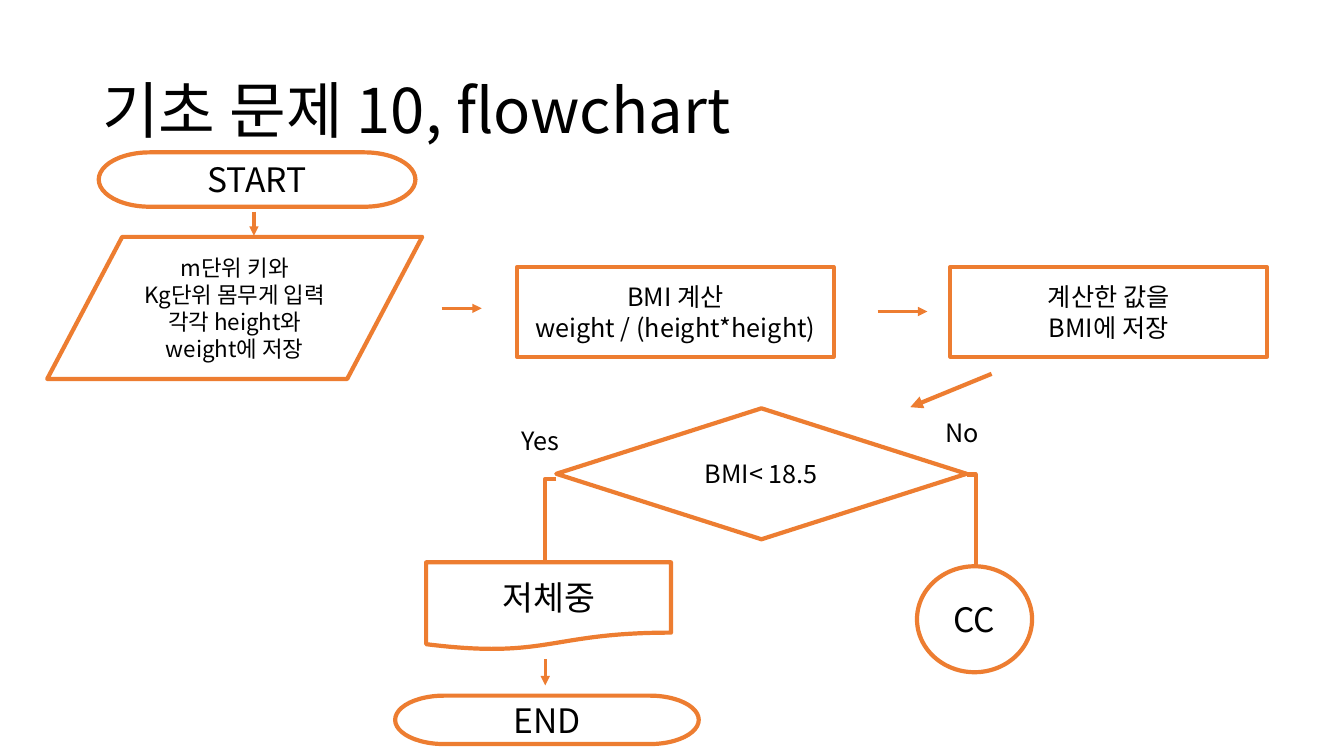
"""Build the BMI flowchart slide."""
from dataclasses import dataclass

from lxml.etree import SubElement
from pptx import Presentation
from pptx.dml.color import RGBColor
from pptx.enum.shapes import MSO_CONNECTOR, MSO_SHAPE
from pptx.enum.text import MSO_ANCHOR, MSO_AUTO_SIZE, PP_ALIGN
from pptx.oxml.ns import qn
from pptx.slide import Slide
from pptx.text.text import TextFrame
from pptx.util import Cm, Pt

FONT = "Noto Sans CJK KR"
BLACK = "000000"
WHITE = "FFFFFF"
ORANGE = "ED7D31"


@dataclass
class Step:
    kind: MSO_SHAPE
    left: float
    top: float
    width: float
    height: float
    size: int
    lines: tuple[str, ...]


@dataclass
class Label:
    left: float
    top: float
    width: float
    text: str


@dataclass
class Link:
    start: tuple[float, float]
    end: tuple[float, float]
    weight: float = 2.25
    bent: bool = False


STEPS = (
    Step(MSO_SHAPE.FLOWCHART_TERMINATOR, 2.49, 3.84, 7.98, 1.37, 24, ("START",)),
    Step(MSO_SHAPE.FLOWCHART_DATA, 1.19, 5.97, 9.45, 3.58, 16,
         ("m단위 키와", "Kg단위 몸무게 입력", "각각 height와 weight에 저장")),
    Step(MSO_SHAPE.RECTANGLE, 13.03, 6.73, 7.98, 2.26, 18,
         ("BMI 계산", "weight / (height*height)")),
    Step(MSO_SHAPE.RECTANGLE, 23.95, 6.73, 7.98, 2.26, 18,
         ("계산한 값을", "BMI에 저장")),
    Step(MSO_SHAPE.OVAL, 23.11, 14.27, 2.9, 2.67, 24, ("CC",)),
    Step(MSO_SHAPE.FLOWCHART_DECISION, 14.02, 10.29, 10.34, 3.3, 18, ("BMI< 18.5",)),
    Step(MSO_SHAPE.FLOWCHART_DOCUMENT, 10.74, 14.17, 6.17, 2.21, 24, ("저체중",)),
    Step(MSO_SHAPE.FLOWCHART_TERMINATOR, 9.96, 17.53, 7.65, 1.22, 24, ("END",)),
)
LABELS = (Label(12.9, 10.59, 1.78, "Yes"), Label(23.57, 10.39, 1.7, "No"))
LINKS = (
    Link((6.4, 5.33), (6.4, 5.94)),
    Link((11.13, 7.77), (12.14, 7.77)),
    Link((22.12, 7.85), (23.37, 7.85)),
    Link((24.99, 9.42), (22.94, 10.26), 3),
    Link((14.02, 12.07), (13.74, 14.17), 3, True),
    Link((24.36, 11.96), (24.59, 14.27), 3, True),
    Link((13.74, 16.61), (13.74, 17.27)),
)


def color(value: str) -> RGBColor:
    """Turn a hex string into a colour."""
    return RGBColor.from_string(value)


def write(frame: TextFrame, lines: tuple[str, ...], size: int,
          alignment: PP_ALIGN = PP_ALIGN.LEFT,
          anchor: MSO_ANCHOR = MSO_ANCHOR.MIDDLE) -> None:
    """Write one paragraph per line."""
    frame.word_wrap = True
    frame.vertical_anchor = anchor
    for index, line in enumerate(lines):
        paragraph = frame.add_paragraph() if index else frame.paragraphs[0]
        paragraph.alignment = alignment
        run = paragraph.add_run()
        run.text = line
        run.font.size = Pt(size)
        run.font.name = FONT
        run.font.color.rgb = color(BLACK)
        SubElement(run.font._element, qn("a:ea"), typeface=FONT)


def add_title(slide: Slide, text: str) -> None:
    """Add the slide heading."""
    box = slide.shapes.add_textbox(Cm(2.33), Cm(1.02), Cm(29.21), Cm(3.68))
    write(box.text_frame, (text,), 44)
    box.text_frame.paragraphs[0].line_spacing = 0.9


def add_step(slide: Slide, step: Step) -> None:
    """Add an outlined flowchart step."""
    shape = slide.shapes.add_shape(step.kind, Cm(step.left), Cm(step.top),
                                   Cm(step.width), Cm(step.height))
    shape.shadow.inherit = False
    shape.fill.solid()
    shape.fill.fore_color.rgb = color(WHITE)
    shape.line.color.rgb = color(ORANGE)
    shape.line.width = Pt(3)
    write(shape.text_frame, step.lines, step.size, PP_ALIGN.CENTER)


def add_label(slide: Slide, label: Label) -> None:
    """Add the answer beside a branch."""
    box = slide.shapes.add_textbox(Cm(label.left), Cm(label.top),
                                   Cm(label.width), Cm(1.02))
    box.fill.solid()
    box.fill.fore_color.rgb = color(WHITE)
    write(box.text_frame, (label.text,), 18, anchor=MSO_ANCHOR.TOP)
    box.text_frame.auto_size = MSO_AUTO_SIZE.SHAPE_TO_FIT_TEXT


def add_link(slide: Slide, link: Link) -> None:
    """Add a straight arrow or a plain one-corner branch."""
    kind = MSO_CONNECTOR.ELBOW if link.bent else MSO_CONNECTOR.STRAIGHT
    connector = slide.shapes.add_connector(
        kind, *(Cm(value) for value in link.start + link.end))
    connector.line.color.rgb = color(ORANGE)
    connector.line.width = Pt(link.weight)
    properties = connector._element.spPr
    if link.bent:
        properties.find(qn("a:prstGeom")).set("prst", "bentConnector2")
    else:
        SubElement(properties.find(qn("a:ln")), qn("a:tailEnd"), type="triangle")
    SubElement(properties, qn("a:effectLst"))


def main() -> None:
    """Build and save the presentation."""
    presentation = Presentation()
    presentation.slide_width = Cm(33.87)
    presentation.slide_height = Cm(19.05)
    slide = presentation.slides.add_slide(presentation.slide_layouts[6])
    add_title(slide, "기초 문제 10, flowchart")
    for step in STEPS:
        add_step(slide, step)
    for label in LABELS:
        add_label(slide, label)
    for link in LINKS:
        add_link(slide, link)
    presentation.save("out.pptx")


if __name__ == "__main__":
    main()
